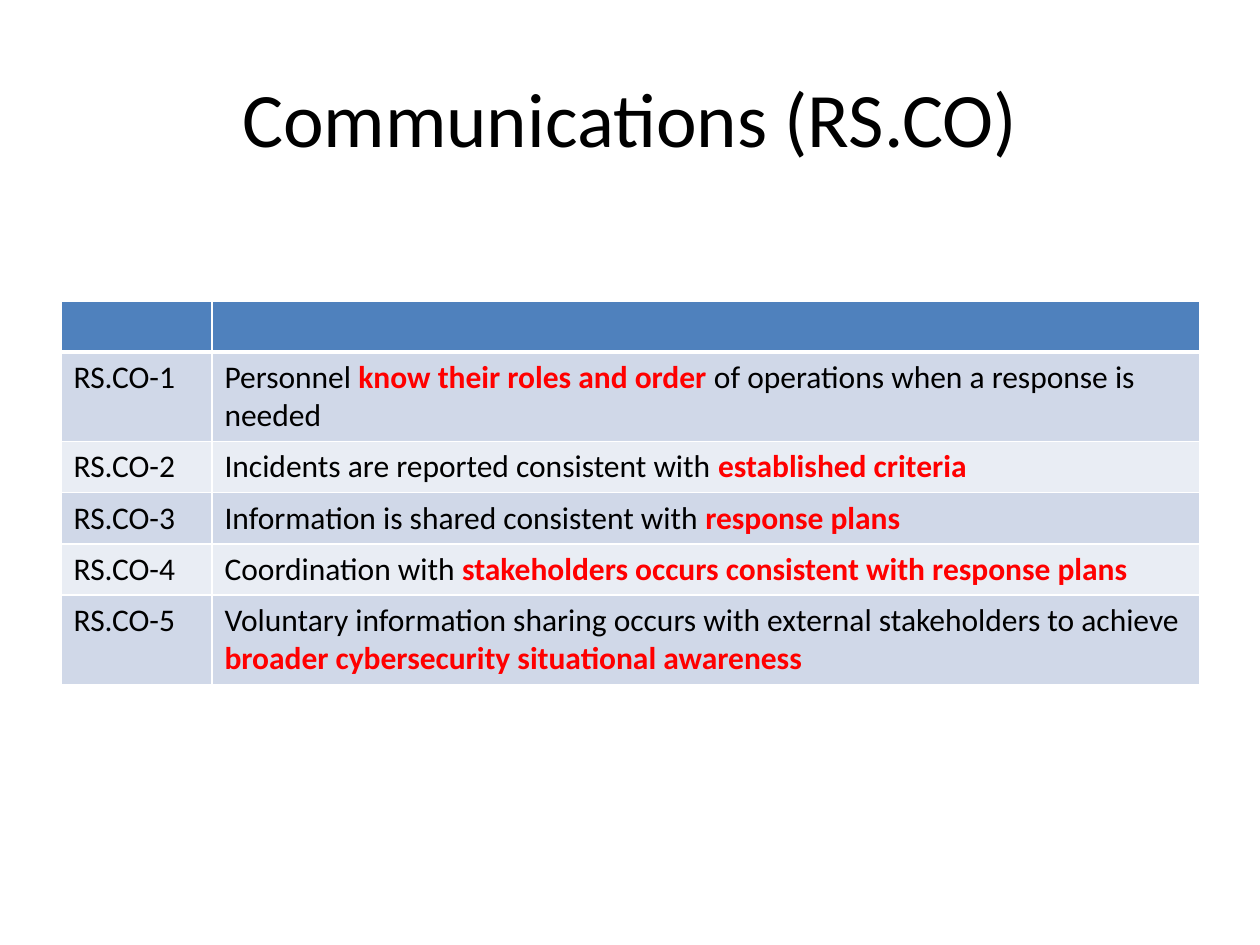
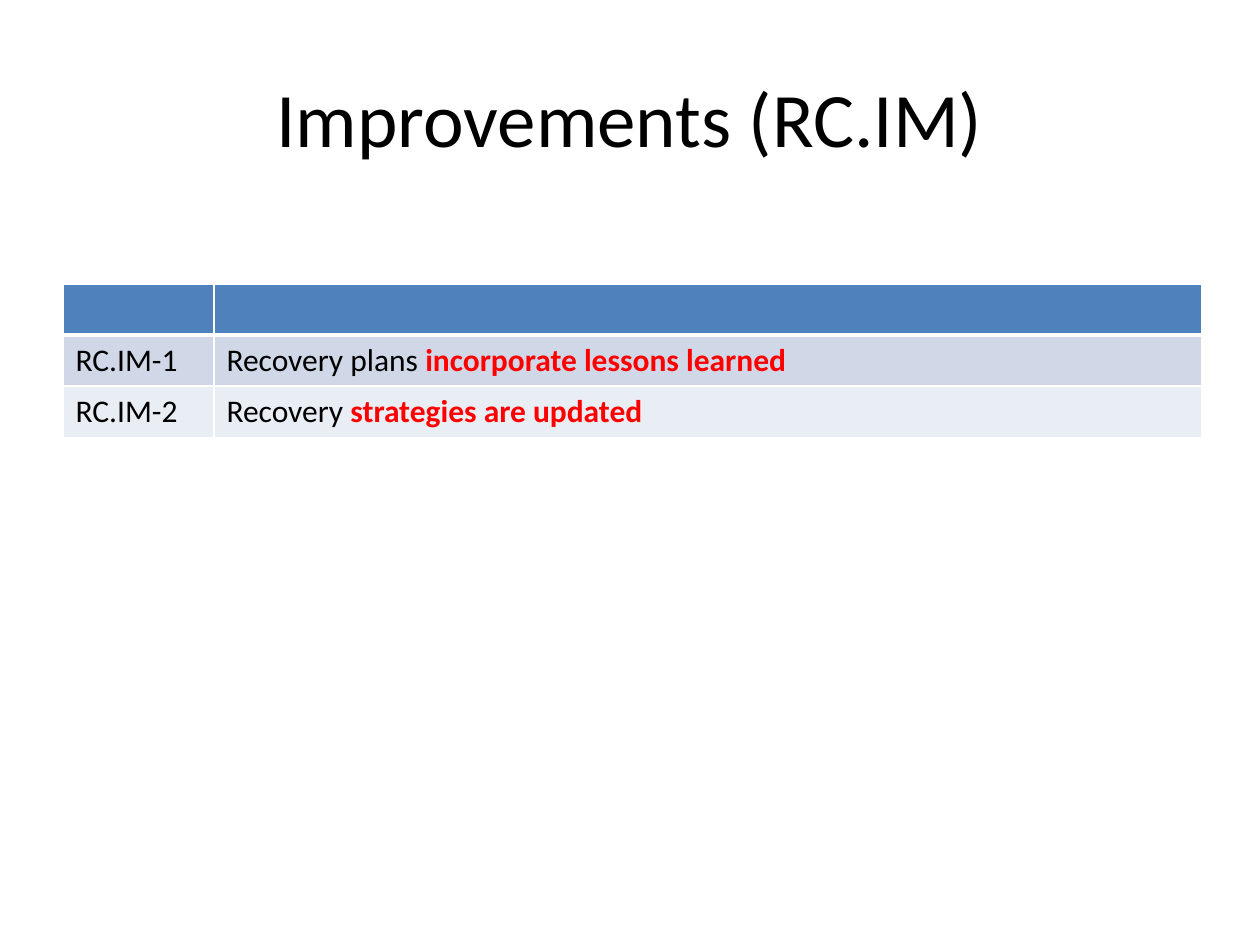
from dataclasses import dataclass

from lxml.etree import SubElement
from pptx import Presentation
from pptx.dml.color import RGBColor
from pptx.enum.text import MSO_ANCHOR, PP_ALIGN
from pptx.oxml.ns import qn
from pptx.util import Pt

SCALE = 914400 / 126


@dataclass(frozen=True)
class Theme:
    """Hold the colours, font and sizes that the slides share."""
    font: str = "Calibri"
    title: int = 44
    body: int = 18
    ink: str = "000000"
    accent: str = "FF0000"
    head: str = "4F81BD"
    bands: tuple = ("D0D8E8", "E9EDF4")
    rule: str = "FFFFFF"
    thin: int = 1
    thick: int = 3


THEME = Theme()
COLS = (151, 988)
LINE, TALL = 51, 89


def px(count):
    """Turn px into EMU."""
    return round(count * SCALE)


def place(shape, left, top, width, height):
    """Put a shape at a box given in px."""
    shape.left, shape.top = px(left), px(top)
    shape.width, shape.height = px(width), px(height)


def style(run, size, colour, bold=False):
    """Set the font of one run."""
    font = run.font
    font.name, font.size, font.bold = THEME.font, Pt(size), bold
    font.color.rgb = RGBColor.from_string(colour)


def add_title(slide, text):
    """Fill the title placeholder."""
    title = slide.shapes.title
    place(title, 63, 38, 1134, 157)
    frame = title.text_frame
    frame.text = text
    frame.vertical_anchor = MSO_ANCHOR.MIDDLE
    para = frame.paragraphs[0]
    para.alignment = PP_ALIGN.CENTER
    style(para.runs[0], THEME.title, THEME.ink)


def add_rules(cell, top, bottom):
    """Draw the four white borders of a cell."""
    props = cell._tc.get_or_add_tcPr()
    widths = {"L": THEME.thin, "R": THEME.thin, "T": top, "B": bottom}
    for side, width in widths.items():
        line = SubElement(props, qn(f"a:ln{side}"), w=str(Pt(width)))
        fill = SubElement(line, qn("a:solidFill"))
        SubElement(fill, qn("a:srgbClr"), val=THEME.rule)


def paint(cell, row):
    """Give a cell the borders and fill of its row."""
    top = THEME.thick if row == 1 else THEME.thin
    bottom = THEME.thick if row == 0 else THEME.thin
    add_rules(cell, top, bottom)
    colour = THEME.bands[(row - 1) % 2] if row else THEME.head
    cell.fill.solid()
    cell.fill.fore_color.rgb = RGBColor.from_string(colour)


def write(cell, text):
    """Write text in a cell, with parts between stars in bold accent."""
    para = cell.text_frame.paragraphs[0]
    for index, part in enumerate(text.split("*")):
        if part:
            run = para.add_run()
            run.text = part
            strong = index % 2 == 1
            style(run, THEME.body, THEME.accent if strong else THEME.ink, strong)


def add_grid(slide, left, top, prefix, items):
    """Add a table of numbered items under an empty header row."""
    heights = [LINE] + [height for _, height in items]
    frame = slide.shapes.add_table(
        len(heights), len(COLS), px(left), px(top), px(sum(COLS)), px(sum(heights)))
    table = frame.table
    for col, width in zip(table.columns, COLS):
        col.width = px(width)
    for index, height in enumerate(heights):
        table.rows[index].height = px(height)
        for cell in table.rows[index].cells:
            paint(cell, index)
    for index, (text, _) in enumerate(items, 1):
        write(table.cell(index, 0), f"{prefix}-{index}")
        write(table.cell(index, 1), text)


def add_page(deck, name, prefix, left, top, items):
    """Add a slide with a title and a table."""
    slide = deck.slides.add_slide(deck.slide_layouts[5])
    add_title(slide, f"{name} ({prefix})")
    add_grid(slide, left, top, prefix, items)


def main():
    """Build and save the deck."""
    deck = Presentation()
    deck.slide_width, deck.slide_height = px(1260), px(945)
    add_page(deck, "Communications", "RS.CO", 61, 301, [
        ("Personnel *know their roles and order *of operations when a response is needed", TALL),
        ("Incidents are reported consistent with *established criteria*", LINE),
        ("Information is shared consistent with *response plans*", LINE),
        ("Coordination with *stakeholders occurs consistent with response plans*", LINE),
        ("Voluntary information sharing occurs with external stakeholders to achieve "
         "*broader cybersecurity situational awareness*", TALL),
    ])
    add_page(deck, "Improvements", "RC.IM", 63, 284, [
        ("Recovery plans *incorporate lessons learned*", LINE),
        ("Recovery *strategies are updated*", LINE),
    ])
    deck.save("out.pptx")


if __name__ == "__main__":
    main()
